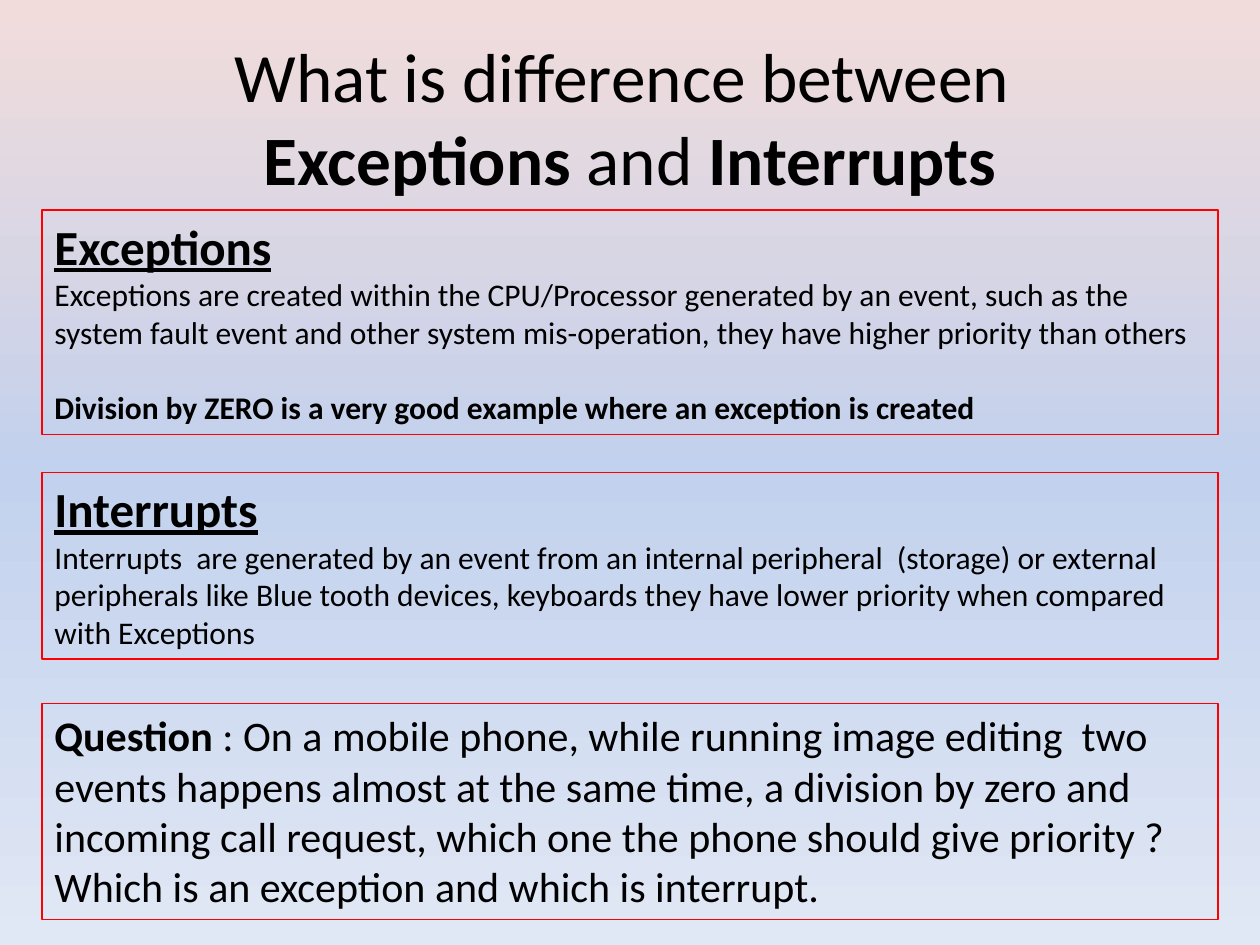
from copy import deepcopy

from pptx import Presentation
from pptx.dml.color import RGBColor
from pptx.enum.shapes import MSO_SHAPE
from pptx.enum.text import MSO_ANCHOR, MSO_AUTO_SIZE, PP_ALIGN
from pptx.oxml.ns import qn
from pptx.util import Pt

COLORS = {"text": "000000", "border": "FF0000",
          "top": "F2DCDB", "middle": "C2D1ED", "bottom": "E1E8F5"}
FONT = "Calibri"
LEFT, WIDTH = 24, 672
HEADING, BODY, QUESTION = 28, 18, 24


class SlideBuilder:
    def __init__(self, slide):
        self.slide = slide

    def color(self, name):
        return RGBColor.from_string(COLORS[name])

    def background(self, names):
        fill = self.slide.background.fill
        fill.gradient()
        fill.gradient_angle = 270
        stop_list = self.slide.element.find(".//" + qn("a:gsLst"))
        for _ in range(len(names) - len(stop_list)):
            stop_list.append(deepcopy(stop_list[-1]))
        for index, (stop, name) in enumerate(zip(fill.gradient_stops, names)):
            stop.color.rgb = self.color(name)
            stop.position = index / (len(names) - 1)

    def add_run(self, para, text, size, bold=False, underline=False):
        span = para.add_run()
        span.text = text
        font = span.font
        font.name, font.size = FONT, Pt(size)
        font.bold, font.underline = bold, underline
        font.color.rgb = self.color("text")

    def title(self, runs):
        title = self.slide.shapes.title
        title.left, title.top = Pt(36), Pt(21.6)
        title.width, title.height = Pt(648), Pt(90)
        frame = title.text_frame
        frame.word_wrap = True
        frame.auto_size = MSO_AUTO_SIZE.NONE
        frame.vertical_anchor = MSO_ANCHOR.MIDDLE
        para = frame.paragraphs[0]
        para.alignment = PP_ALIGN.CENTER
        for text, bold in runs:
            self.add_run(para, text, 39.6, bold)

    def text_box(self, top, height, paragraphs):
        """Each paragraph is (space before, runs)."""
        box = self.slide.shapes.add_shape(
            MSO_SHAPE.RECTANGLE, Pt(LEFT), Pt(top), Pt(WIDTH), Pt(height))
        box.shadow.inherit = False
        box.fill.background()
        box.line.color.rgb = self.color("border")
        box.line.width = Pt(0.75)
        frame = box.text_frame
        frame.word_wrap = True
        frame.auto_size = MSO_AUTO_SIZE.SHAPE_TO_FIT_TEXT
        frame.vertical_anchor = MSO_ANCHOR.TOP
        for index, (space, runs) in enumerate(paragraphs):
            para = frame.add_paragraph() if index else frame.paragraphs[0]
            para.alignment = PP_ALIGN.LEFT
            para.space_before = Pt(space)
            for run in runs:
                self.add_run(para, *run)


def main():
    deck = Presentation()
    deck.slide_width, deck.slide_height = Pt(720), Pt(540)
    page = SlideBuilder(deck.slides.add_slide(deck.slide_layouts[5]))
    page.background(["top", "middle", "bottom"])

    # Title
    page.title([("What is difference between  ", False), ("Exceptions", True),
                (" and ", False), ("Interrupts", True)])

    # Definitions
    page.text_box(120, 128.2, [
        (0, [("Exceptions", HEADING, True, True)]),
        (0, [("Exceptions are created within the CPU/Processor generated by an "
              "event, such as the system fault event and other system "
              "mis-operation, they have higher priority than others", BODY)]),
        (21.6, [("Division by ZERO is a very good example where an exception "
                 "is created", BODY, True)]),
    ])
    page.text_box(270, 106.6, [
        (0, [("Interrupts", HEADING, True, True)]),
        (0, [("Interrupts  are generated by an event from an internal "
              "peripheral  (storage) or external peripherals like Blue tooth "
              "devices, keyboards they have lower priority when compared with "
              "Exceptions", BODY)]),
    ])

    # Question
    page.text_box(402, 123.6, [
        (0, [("Question", QUESTION, True),
             (" : On a mobile phone, while running image editing  two events "
              "happens almost at the same time, a division by zero and "
              "incoming call request, which one the phone should give "
              "priority ? Which is an exception and which is interrupt.",
              QUESTION)]),
    ])
    deck.save("out.pptx")


if __name__ == "__main__":
    main()
